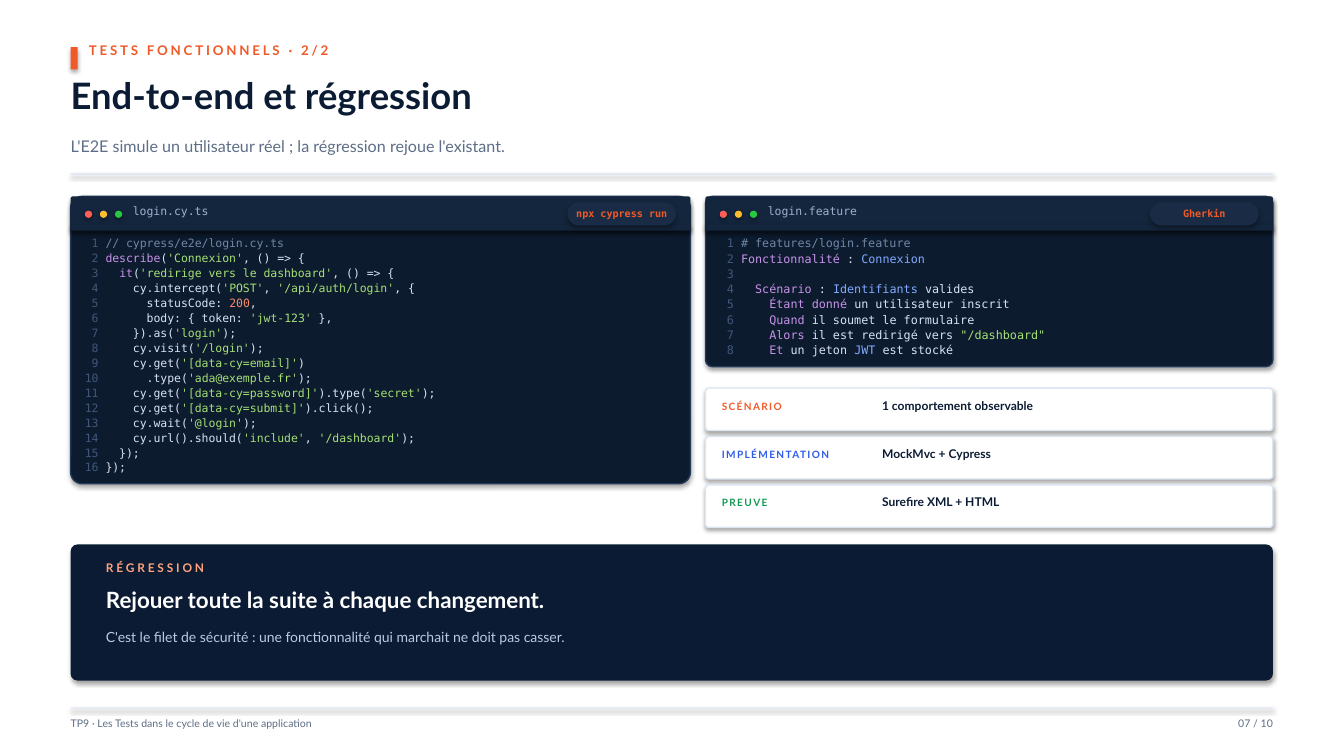
import itertools

import pptx
import pptx.dml.color
import pptx.enum.shapes
import pptx.enum.text
import pptx.util

Cm = pptx.util.Cm
Pt = pptx.util.Pt
Align = pptx.enum.text.PP_ALIGN
Anchor = pptx.enum.text.MSO_ANCHOR

SANS, MONO = "Lato", "DejaVu Sans Mono"
NAVY, ORANGE, SLATE, RULE = "0B1B33", "F05A28", "5D6E86", "DCE5F2"
NUMBER_GREY, COMMENT, PLAIN, STRING = "40577A", "6F86A6", "D7E3F4", "A5E075"
KEYWORD, ENTITY, LITERAL = "C792EA", "82AAFF", "F78C6C"
WORD_COLOURS = {
    **dict.fromkeys(["describe", "it", "Fonctionnalité", "Scénario", "Étant",
                     "donné", "Quand", "Alors", "Et"], KEYWORD),
    **dict.fromkeys(["Connexion", "Identifiants", "JWT"], ENTITY),
    "200": LITERAL,
}

LEFT, FULL_WIDTH = 1.78, 30.3
EDITOR_TOP = 4.95
RIGHT_LEFT, RIGHT_WIDTH = 17.78, 14.3

CYPRESS = """\
// cypress/e2e/login.cy.ts
describe('Connexion', () => {
  it('redirige vers le dashboard', () => {
    cy.intercept('POST', '/api/auth/login', {
      statusCode: 200,
      body: { token: 'jwt-123' },
    }).as('login');
    cy.visit('/login');
    cy.get('[data-cy=email]')
      .type('ada@exemple.fr');
    cy.get('[data-cy=password]').type('secret');
    cy.get('[data-cy=submit]').click();
    cy.wait('@login');
    cy.url().should('include', '/dashboard');
  });
});"""

GHERKIN = """\
# features/login.feature
Fonctionnalité : Connexion

  Scénario : Identifiants valides
    Étant donné un utilisateur inscrit
    Quand il soumet le formulaire
    Alors il est redirigé vers "/dashboard"
    Et un jeton JWT est stocké"""

CARDS = [
    ("SCÉNARIO", "1 comportement observable", ORANGE),
    ("IMPLÉMENTATION", "MockMvc + Cypress", "2F5BEA"),
    ("PREUVE", "Surefire XML + HTML", "159A55"),
]


def rgb(colour):
    return pptx.dml.color.RGBColor.from_string(colour)


def add_span(para, text, size, colour, bold=False, font=SANS, tracking=0):
    """Append a run; tracking is letter spacing in points."""
    span = para.add_run()
    span.text = text
    span.font.name = font
    span.font.size = Pt(size)
    span.font.bold = bold
    span.font.color.rgb = rgb(colour)
    if tracking:
        span.font._element.set("spc", str(tracking * 100))


def set_frame(frame, anchor=Anchor.TOP):
    frame.margin_left = frame.margin_right = Cm(0)
    frame.margin_top = frame.margin_bottom = Cm(0)
    frame.word_wrap = True
    frame.vertical_anchor = anchor


def add_box(page, left, top, width, height):
    box = page.shapes.add_textbox(Cm(left), Cm(top), Cm(width), Cm(height))
    set_frame(box.text_frame)
    return box.text_frame


def add_label(page, left, top, width, height, text, size, colour,
              align=Align.LEFT, **style):
    para = add_box(page, left, top, width, height).paragraphs[0]
    para.alignment = align
    add_span(para, text, size, colour, **style)


def add_block(page, left, top, width, height, fill, rounding=0, line=None):
    """Filled rectangle that keeps the soft shadow of the theme."""
    kinds = pptx.enum.shapes.MSO_SHAPE
    kind = kinds.ROUNDED_RECTANGLE if rounding else kinds.RECTANGLE
    block = page.shapes.add_shape(kind, Cm(left), Cm(top), Cm(width), Cm(height))
    if rounding:
        block.adjustments[0] = rounding
    block.fill.solid()
    block.fill.fore_color.rgb = rgb(fill)
    if line:
        block.line.color.rgb = rgb(line)
        block.line.width = Pt(1)
    else:
        block.line.fill.background()
    return block


def highlight(line):
    """Split a code line into (colour, text) pieces."""
    if line.startswith(("//", "#")):
        return [(COMMENT, line)]
    quote = '"' if '"' in line else "'"
    pieces = []
    for index, part in enumerate(line.split(quote)):
        if index % 2:
            pieces.append((STRING, quote + part + quote))
        else:
            for _, chars in itertools.groupby(part, str.isalnum):
                word = "".join(chars)
                pieces.append((WORD_COLOURS.get(word, PLAIN), word))
    return [(colour, "".join(text for _, text in group))
            for colour, group in itertools.groupby(pieces, lambda piece: piece[0])]


def add_code(page, left, top, width, height, code, size, spacing):
    frame = add_box(page, left, top, width, height)
    for number, line in enumerate(code.split("\n"), 1):
        para = frame.paragraphs[0] if number == 1 else frame.add_paragraph()
        para.line_spacing = Pt(spacing)
        add_span(para, f"{number:>2} ", size, NUMBER_GREY, font=MONO)
        for colour, text in highlight(line):
            add_span(para, text, size, colour, font=MONO)


def add_editor(page, left, width, height, file_name, badge, code, size, spacing):
    top = EDITOR_TOP
    add_block(page, left, top, width, height, "0D1B2E", 0.04, "23395A")
    add_block(page, left, top, width, 0.86, "14263D", 0.06)
    add_block(page, left, top + 0.71, width, 0.15, "14263D")
    for index, colour in enumerate(["FF5F57", "FEBC2E", "28C840"]):
        add_block(page, left + 0.36 + 0.38 * index, top + 0.36, 0.18, 0.18, colour, 0.5)
    add_label(page, left + 1.57, top + 0.2, 9.6, 0.36, file_name, 8.2, "9DB2CE", font=MONO)
    pill = add_block(page, left + width - 3.1, top + 0.15, 2.74, 0.58, "1A2C45", 0.5)
    set_frame(pill.text_frame, Anchor.MIDDLE)
    para = pill.text_frame.paragraphs[0]
    para.alignment = Align.CENTER
    add_span(para, badge, 7.2, ORANGE, bold=True, font=MONO)
    add_code(page, left + 0.36, top + 0.97, width - 0.72, height - 1.2, code, size, spacing)


def add_header(page):
    add_block(page, LEFT, 1.19, 0.18, 0.56, ORANGE)
    add_label(page, 2.24, 1.07, 24, 0.41, "TESTS FONCTIONNELS · 2/2", 9.5, ORANGE,
              bold=True, tracking=2)
    title = page.shapes.title
    title.left, title.top = Cm(LEFT), Cm(1.83)
    title.width, title.height = Cm(FULL_WIDTH), Cm(1.09)
    set_frame(title.text_frame)
    title.text_frame.auto_size = pptx.enum.text.MSO_AUTO_SIZE.NONE
    para = title.text_frame.paragraphs[0]
    para.alignment = Align.LEFT
    add_span(para, "End-to-end et régression", 26, NAVY, bold=True)
    add_label(page, LEFT, 3.45, FULL_WIDTH, 0.48,
              "L'E2E simule un utilisateur réel ; la régression rejoue l'existant.", 11.5, SLATE)
    add_block(page, LEFT, 4.37, FULL_WIDTH, 0.03, RULE)


def add_cards(page):
    for index, (label, value, colour) in enumerate(CARDS):
        top = 9.78 + 1.22 * index
        add_block(page, RIGHT_LEFT, top, RIGHT_WIDTH, 1.07, "FFFFFF", 0.08, RULE)
        add_label(page, RIGHT_LEFT + 0.41, top + 0.3, 3.94, 0.3, label, 7.2, colour,
                  bold=True, tracking=1)
        add_label(page, RIGHT_LEFT + 4.45, top + 0.25, 9.4, 0.36, value, 8.6, NAVY, bold=True)


def add_regression_panel(page):
    add_block(page, LEFT, 13.72, FULL_WIDTH, 3.43, NAVY, 0.05)
    add_label(page, 2.67, 14.12, 6.35, 0.36, "RÉGRESSION", 8.5, "FFA37D", bold=True, tracking=2)
    add_label(page, 2.67, 14.78, 27.7, 0.69, "Rejouer toute la suite à chaque changement.",
              16, "FFFFFF", bold=True)
    add_label(page, 2.67, 15.85, 27.9, 0.43,
              "C'est le filet de sécurité : une fonctionnalité qui marchait ne doit pas casser.",
              10, "B9CBE3")


def add_footer(page):
    add_block(page, LEFT, 17.83, FULL_WIDTH, 0.03, RULE)
    add_label(page, LEFT, 18.06, 20.3, 0.33,
              "TP9 · Les Tests dans le cycle de vie d'une application", 7.5, SLATE)
    add_label(page, 29.03, 18.06, 3.05, 0.33, "07 / 10", 7.5, SLATE, align=Align.RIGHT)


def main():
    deck = pptx.Presentation()
    deck.slide_width, deck.slide_height = Cm(33.87), Cm(19.05)
    page = deck.slides.add_slide(deck.slide_layouts.get_by_name("Title Only"))
    add_header(page)
    add_editor(page, LEFT, 15.62, 7.24, "login.cy.ts", "npx cypress run", CYPRESS, 8.2, 10.7)
    add_editor(page, RIGHT_LEFT, RIGHT_WIDTH, 4.29, "login.feature", "Gherkin",
               GHERKIN, 8.4, 10.9)
    add_cards(page)
    add_regression_panel(page)
    add_footer(page)
    deck.save("out.pptx")


if __name__ == "__main__":
    main()
